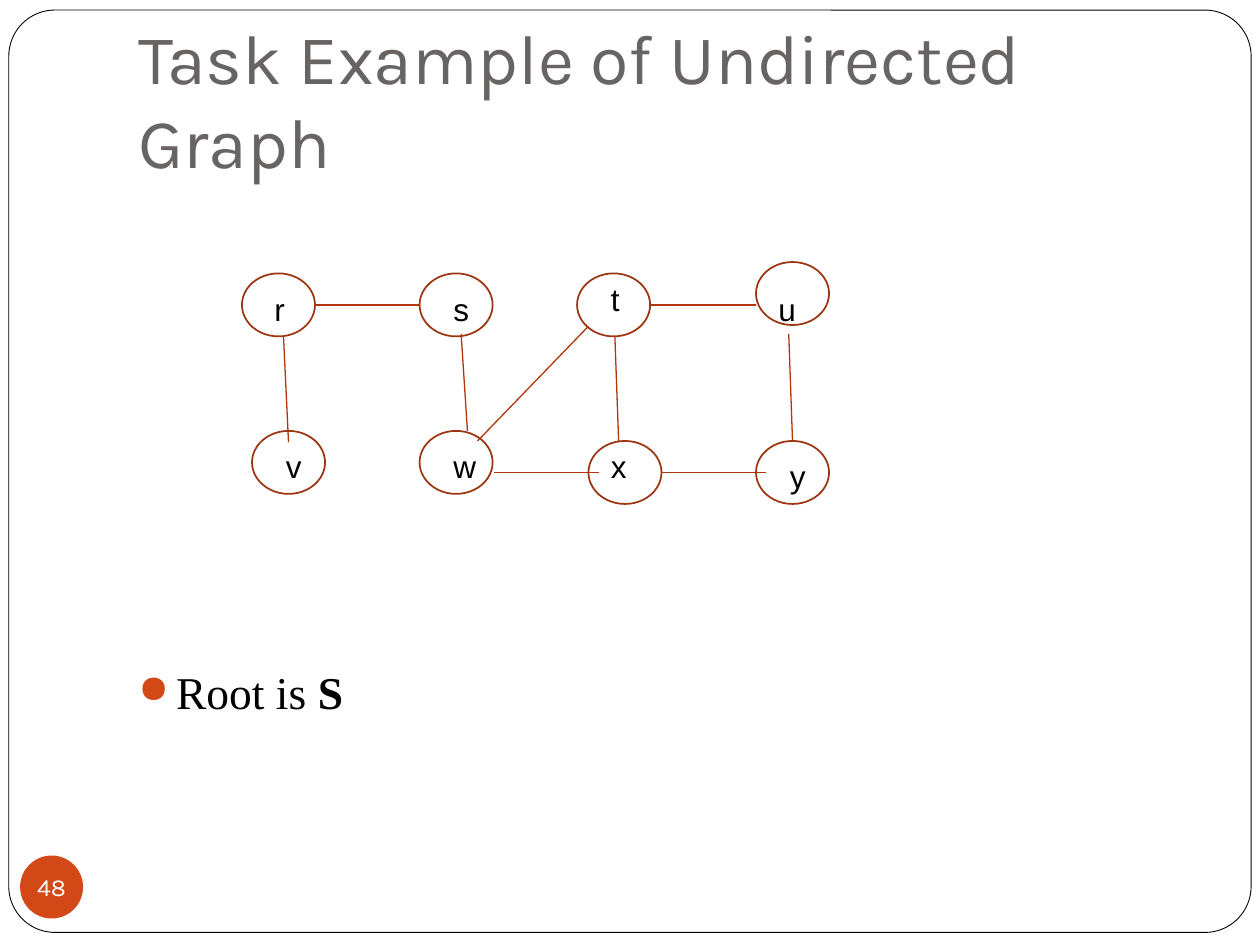
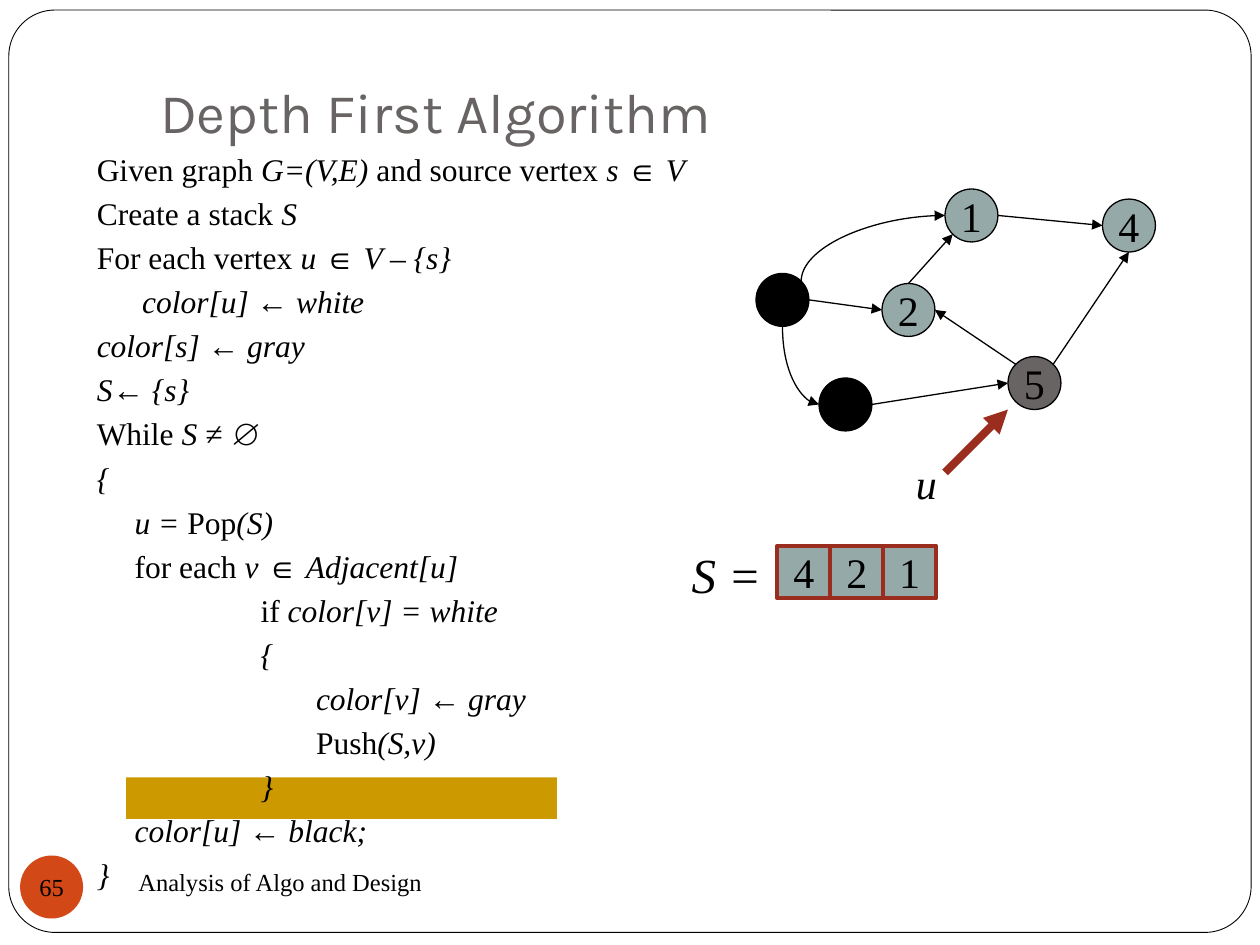
import math

import pptx
import pptx.dml.color
import pptx.enum.shapes
import pptx.enum.text
import pptx.oxml
import pptx.oxml.ns
import pptx.util

Inches = pptx.util.Inches
Pt = pptx.util.Pt
RGB = pptx.dml.color.RGBColor
SHAPE = pptx.enum.shapes.MSO_SHAPE
CONNECTOR = pptx.enum.shapes.MSO_CONNECTOR
ALIGN = pptx.enum.text.PP_ALIGN
ANCHOR = pptx.enum.text.MSO_ANCHOR
qn = pptx.oxml.ns.qn

BLACK = RGB(0x00, 0x00, 0x00)
WHITE = RGB(0xFF, 0xFF, 0xFF)
GRAY = RGB(0x69, 0x64, 0x64)
ORANGE = RGB(0xD3, 0x48, 0x17)
NODE_LINE = RGB(0x9C, 0x35, 0x11)
EDGE_LINE = RGB(0xB1, 0x36, 0x0B)
SAGE = RGB(0x96, 0xA9, 0xA9)
RED = RGB(0x9B, 0x2D, 0x1F)
GOLD = RGB(0xCC, 0x99, 0x00)
SERIF, SANS, HEADING = "Times New Roman", "Arial", "Karla"

# Undirected graph: node left and top, then label left and top
TASK_NODES = {
    "r": (1.92, 2.17, 2.08, 2.25),
    "s": (3.33, 2.17, 3.5, 2.25),
    "t": (4.58, 2.17, 4.75, 2.17),
    "u": (6, 2.08, 6.08, 2.25),
    "v": (2, 3.42, 2.17, 3.5),
    "w": (3.33, 3.42, 3.5, 3.5),
    "x": (4.67, 3.5, 4.75, 3.5),
    "y": (6, 3.5, 6.17, 3.58),
}
TASK_EDGES = [
    ((2.5, 2.42), (3.33, 2.42)),
    ((5.17, 2.42), (6, 2.42)),
    ((3.92, 3.75), (4.75, 3.75)),
    ((5.25, 3.75), (6.08, 3.75)),
    ((6.29, 3.5), (6.26, 2.65)),
    ((4.91, 3.5), (4.88, 2.67)),
    ((3.79, 3.5), (4.67, 2.59)),
    ((3.71, 3.42), (3.66, 2.65)),
    ((2.29, 3.51), (2.25, 2.67)),
]

# Indent in inches and text; asterisks switch italics on and off
ALGORITHM = [
    (0, "Given graph *G=(V,E)* and source vertex *s *∈ *V*"),
    (0, "Create a stack* S*"),
    (0, "For each vertex* u *∈ *V – {s}*"),
    (0.36, "*color[u] ← white*"),
    (0, "*color[s] ← gray*"),
    (0, "*S← {s}*"),
    (0, "While* S ≠ ∅*"),
    (0, "*{*"),
    (0.3, "*u = *Pop*(S)*"),
    (0.3, "for each* v *∈ *Adjacent[u]*"),
    (1.3, "if *color[v] = white*"),
    (1.3, "*{*"),
    (1.74, "*color[v] ← gray*"),
    (1.74, "Push*(S,v)*"),
    (1.3, "*}*"),
    (0.3, "*color[u] ← black;*"),
    (0, "*}*"),
]

# Directed graph: left, top, fill, label
SIDE = 0.42
DFS_NODES = [
    (6, 2.17, BLACK, ""),
    (7.5, 1.5, SAGE, "1"),
    (7, 2.25, SAGE, "2"),
    (6.5, 3, BLACK, ""),
    (8.75, 1.58, SAGE, "4"),
    (8, 2.83, GRAY, "5"),
]
# From node, its site, to node, its site, curved; sites run anticlockwise from 0 at the top
DFS_EDGES = [
    (0, 7, 1, 2, True),
    (0, 6, 2, 2, False),
    (0, 4, 3, 2, True),
    (1, 6, 4, 2, False),
    (3, 6, 5, 2, False),
    (5, 1, 2, 6, False),
    (2, 0, 1, 3, False),
    (5, 7, 4, 4, False),
]
STACK = ["4", "2", "1"]


def style(p, font, size, color):
    for r in p.runs:
        r.font.name, r.font.size = font, Pt(size)
        r.font.color.rgb = color


def drawing_xml(tag, attributes="", inner=""):
    return pptx.oxml.parse_xml(
        f'<a:{tag} {pptx.oxml.ns.nsdecls("a")} {attributes}>{inner}</a:{tag}>')


def add_shape(slide, kind, at, fill=None, line=None, width=1):
    sp = slide.shapes.add_shape(kind, *map(Inches, at))
    sp.shadow.inherit = False
    if fill is None:
        sp.fill.background()
    else:
        sp.fill.solid()
        sp.fill.fore_color.rgb = fill
    if line is None:
        sp.line.fill.background()
    else:
        sp.line.color.rgb, sp.line.width = line, Pt(width)
    return sp


def label(sp, text, font=SERIF, size=24, color=BLACK):
    tf = sp.text_frame
    tf.word_wrap = False
    tf.vertical_anchor = ANCHOR.MIDDLE
    p = tf.paragraphs[0]
    p.text, p.alignment = text, ALIGN.CENTER
    style(p, font, size, color)


def add_text(slide, at, text, size, font=SERIF, italic=False):
    sp = slide.shapes.add_textbox(*map(Inches, at))
    sp.text_frame.word_wrap = True
    p = sp.text_frame.paragraphs[0]
    p.text = text
    style(p, font, size, BLACK)
    for r in p.runs:
        r.font.italic = italic
    return sp


def add_line(slide, start, end, color, width=0.75, arrow=False, kind=CONNECTOR.STRAIGHT):
    c = slide.shapes.add_connector(kind, *map(Inches, start + end))
    c.line.color.rgb, c.line.width = color, Pt(width)
    pr = c._element.spPr
    if arrow:
        pr.find(qn("a:ln")).append(drawing_xml("tailEnd", 'type="triangle"'))
    pr.append(drawing_xml("effectLst"))
    return c


def bend(c, start, end):
    """Make a connector a quarter curve that leaves vertically and arrives horizontally."""
    (x1, y1), (x2, y2) = start, end
    w, h = abs(y2 - y1), abs(x2 - x1)
    c.left, c.top = Inches((x1 + x2 - w) / 2), Inches((y1 + y2 - h) / 2)
    c.width, c.height = Inches(w), Inches(h)
    pr = c._element.spPr
    pr.find(qn("a:prstGeom")).set("prst", "curvedConnector2")
    xfrm = pr.find(qn("a:xfrm"))
    xfrm.set("rot", "16200000")
    xfrm.set("flipH", "1" if y2 > y1 else "0")
    xfrm.set("flipV", "0")


def site_point(node, site):
    left, top = node[:2]
    angle, radius = math.radians(90 + 45 * site), SIDE / 2
    return (left + radius + radius * math.cos(angle),
            top + radius - radius * math.sin(angle))


def glue(c, begin, begin_site, end, end_site):
    """Join a connector to two ellipses, which have eight sites each."""
    pr = c._element.nvCxnSpPr.cNvCxnSpPr
    for cxn, sp, site in ((pr.get_or_add_stCxn(), begin, begin_site),
                          (pr.get_or_add_endCxn(), end, end_site)):
        cxn.id, cxn.idx = sp.shape_id, site


def add_slide(prs, title, at, size):
    slide = prs.slides.add_slide(prs.slide_layouts[5])
    sp = slide.shapes.title
    sp.left, sp.top, sp.width, sp.height = map(Inches, at)
    tf = sp.text_frame
    tf.text = title
    tf.word_wrap = True
    tf.auto_size = pptx.enum.text.MSO_AUTO_SIZE.NONE
    tf.vertical_anchor = ANCHOR.BOTTOM
    tf.margin_bottom = Inches(0.1)
    tf.paragraphs[0].alignment = ALIGN.LEFT
    style(tf.paragraphs[0], HEADING, size, GRAY)
    return slide


def add_frame(slide):
    """Put the rounded frame on the layout, behind everything."""
    sp = add_shape(slide, SHAPE.ROUNDED_RECTANGLE, (0.07, 0.08, 9.86, 7.32), WHITE, BLACK, 0.5)
    sp.adjustments[0] = 0.05
    slide.slide_layout.shapes._spTree.insert(2, sp._element)


def add_page_number(slide, number, font, color):
    sp = add_shape(slide, SHAPE.OVAL, (0.16, 6.79, 0.5, 0.5), ORANGE)
    tf = sp.text_frame
    tf.margin_left = tf.margin_right = tf.margin_top = tf.margin_bottom = 0
    label(sp, number, font, 14, color)


def add_bullet(p):
    pr = p._p.get_or_add_pPr()
    pr.set("marL", str(Inches(0.3)))
    pr.set("indent", str(-Inches(0.3)))
    pr.append(drawing_xml("buClr", inner=f'<a:srgbClr val="{ORANGE}"/>'))
    pr.append(drawing_xml("buSzPct", 'val="85000"'))
    pr.append(drawing_xml("buChar", 'char="●"'))


def build_task(prs):
    slide = add_slide(prs, "Task Example of Undirected Graph", (1, 0.3, 8.5, 1.25), 40)
    add_frame(slide)
    p = add_text(slide, (1, 5.22, 8.5, 0.55), "Root is ", 26).text_frame.paragraphs[0]
    r = p.add_run()
    r.text = "S"
    style(p, SERIF, 26, BLACK)
    r.font.bold = True
    add_bullet(p)
    add_page_number(slide, "48", HEADING, WHITE)
    for left, top, *_ in TASK_NODES.values():
        add_shape(slide, SHAPE.OVAL, (left, top, 0.58, 0.5), line=NODE_LINE)
    for name, (*_, left, top) in TASK_NODES.items():
        add_text(slide, (left, top, 0.4, 0.4), name, 18, SANS)
    for start, end in TASK_EDGES:
        add_line(slide, start, end, EDGE_LINE)


def add_algorithm(slide):
    tf = add_text(slide, (0.67, 1.09, 5.2, 6.1), "", 18).text_frame
    for i, (indent, line) in enumerate(ALGORITHM):
        p = tf.add_paragraph() if i else tf.paragraphs[0]
        p.line_spacing = Pt(25.2)
        p._p.get_or_add_pPr().set("marL", str(Inches(indent)))
        for k, part in enumerate(line.split("*")):
            if part:
                r = p.add_run()
                r.text, r.font.italic = part, k % 2 == 1
        style(p, SERIF, 18, BLACK)


def build_depth_first(prs):
    slide = add_slide(prs, "Depth First Algorithm", (1.17, 0, 8.5, 1.25), 32)
    add_shape(slide, SHAPE.RECTANGLE, (1, 6.17, 3.42, 0.33), GOLD)
    add_algorithm(slide)
    nodes = []
    for left, top, fill, name in DFS_NODES:
        sp = add_shape(slide, SHAPE.OVAL, (left, top, SIDE, SIDE), fill, BLACK, 0.75)
        label(sp, name)
        nodes.append(sp)
    for a, a_site, b, b_site, curved in DFS_EDGES:
        start, end = site_point(DFS_NODES[a], a_site), site_point(DFS_NODES[b], b_site)
        kind = CONNECTOR.CURVE if curved else CONNECTOR.STRAIGHT
        c = add_line(slide, start, end, BLACK, arrow=True, kind=kind)
        if curved:
            bend(c, start, end)
        glue(c, nodes[a], a_site, nodes[b], b_site)
    add_line(slide, (7.5, 3.75), (8, 3.25), RED, 4.5, arrow=True)
    add_text(slide, (7.17, 3.58, 0.4, 0.5), "u", 24, italic=True)
    add_text(slide, (5.39, 4.27, 0.8, 0.57), "S =", 28, italic=True)
    for i, name in enumerate(STACK):
        at = (6.17 + i * SIDE, 4.33, SIDE, SIDE)
        label(add_shape(slide, SHAPE.RECTANGLE, at, SAGE, RED, 2.25), name)
    sp = add_text(slide, (1, 6.75, 4.33, 0.5), "Analysis of Algo and Design", 14)
    sp.text_frame.vertical_anchor = ANCHOR.MIDDLE
    add_page_number(slide, "65", SERIF, BLACK)


def main():
    prs = pptx.Presentation()
    prs.slide_width, prs.slide_height = Inches(10), Inches(7.5)
    build_task(prs)
    build_depth_first(prs)
    prs.save("out.pptx")


if __name__ == "__main__":
    main()
